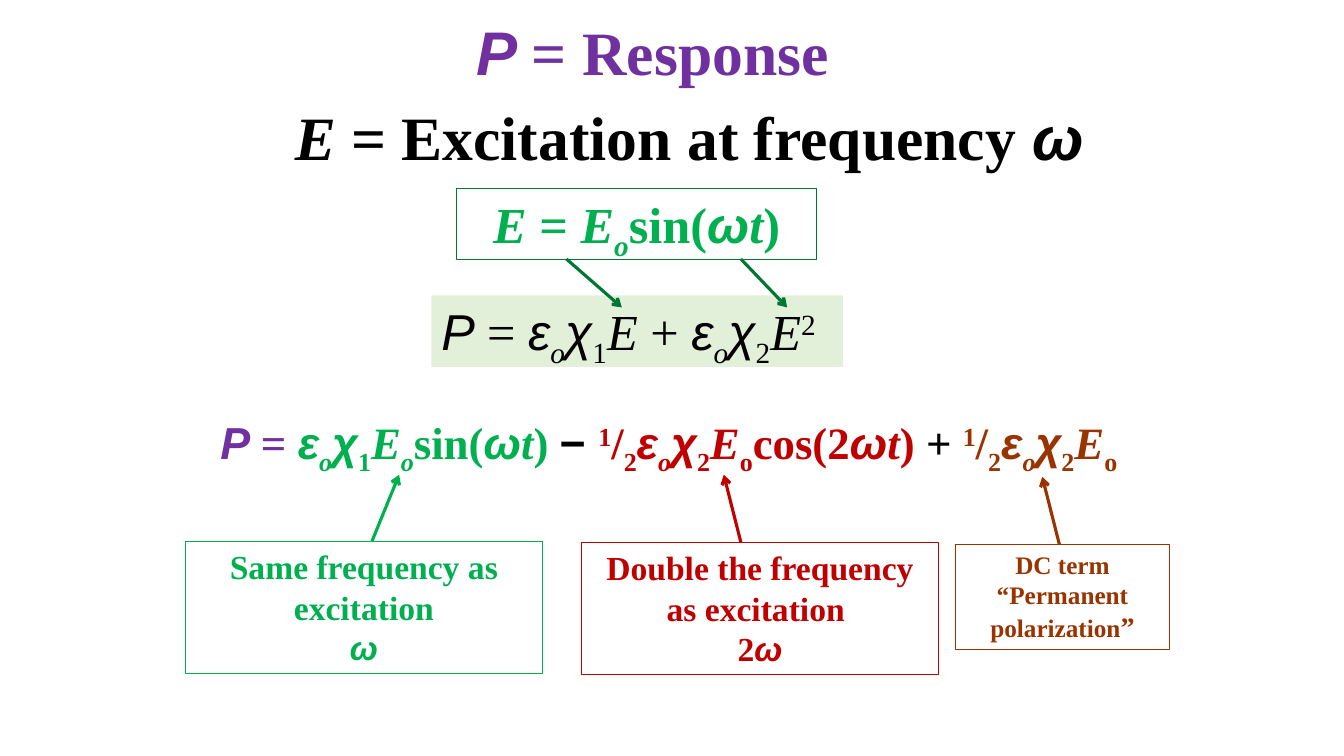
import pptx
import pptx.util
import pptx.dml.color
import pptx.enum.shapes
import pptx.enum.text
import pptx.oxml.ns
from dataclasses import dataclass
from lxml import etree

Pt = pptx.util.Pt
SHAPE = pptx.enum.shapes.MSO_SHAPE.RECTANGLE
ALIGN = pptx.enum.text.PP_ALIGN


@dataclass(frozen=True)
class Theme:
    serif: str = "Times New Roman"
    sans: str = "Arial"
    black: str = "000000"
    purple: str = "7030A0"
    green: str = "00B050"
    dark_green: str = "007635"
    pale_green: str = "E2F0D9"
    red: str = "C00000"
    brown: str = "993300"
    title: int = 44
    formula: int = 36
    result: int = 32
    label: int = 24
    quote: int = 20
    small: int = 18
    outline: float = 0.75
    arrow: float = 2.25


T = Theme()

# A run is (text, flags, optional size); flags: a sans, i italic, _ subscript, ^ superscript.
# A paragraph is a list of (colour, runs).
P, E, E_O = ("P ", "ai"), ("E", "i"), [("E", "i"), ("o", "i_")]
OMEGA, OMEGA_T = ("ω", "ai"), [("ω", "ai"), ("t", "i")]
HALF = [("1", "^"), ("/", ""), ("2", "_")]


def susceptibility(order):
    return [("ε", "ai"), ("o", "i_"), ("χ", "ai"), (order, "_")]


E_DC = [E, ("o", "_")]
RESULT = [
    (T.purple, [P, ("= ", "")]),
    (T.green, [*susceptibility("1"), *E_O, ("sin(", ""), *OMEGA_T, (") ", "")]),
    (T.black, [("− ", "a")]),
    (T.red, [*HALF, *susceptibility("2"), *E_DC, ("cos(2", ""), *OMEGA_T, (") ", "")]),
    (T.black, [("+ ", "")]),
    (T.brown, [*HALF, *susceptibility("2"), *E_DC]),
]
POLARIZATION = [P, ("= ", ""), *susceptibility("1"), E, (" + ", ""),
                *susceptibility("2"), E, ("2", "^")]

# (left, top, width, height), size, paragraphs
HEADINGS = [
    ((228.2, 6.5, 475.9, 60.5), T.title, [[(T.purple, [P, ("= Response", "")])]]),
    ((202.3, 67, 580.3, 60.5), T.title,
     [[(T.black, [E, (" = Excitation at frequency ", ""), OMEGA])]]),
    ((149, 293, 657.4, 46.1), T.result, [RESULT]),
]
# (left, top, width, height), size, outline, paragraphs
BOXES = [
    ((326.2, 134.6, 257, 51.1), T.formula, T.dark_green,
     [[(T.green, [E, (" = ", ""), *E_O, ("sin(", ""), *OMEGA_T, (")", "")])]]),
    ((132.5, 386.6, 254.9, 94.3), T.label, T.green,
     [[(T.green, [("Same frequency as excitation", "")])], [(T.green, [OMEGA])]]),
    ((415.4, 387.4, 254.9, 94.3), T.label, T.red,
     [[(T.red, [("Double the frequency as excitation ", "")])],
      [(T.red, [("2", ""), OMEGA])]]),
    ((682.6, 388.8, 152.6, 74.9), T.small, T.brown,
     [[(T.brown, [("DC term", "")])],
      [(T.brown, [("“Permanent polarization", ""), ("”", "", T.quote)])]]),
]
POLARIZATION_BOX = (308.2, 211, 293.8, 51.1)
# from x, from y, to x, to y, colour
ARROWS = [
    (404.6, 185, 444.2, 219.6, T.dark_green),
    (529.2, 185, 562.3, 219.6, T.dark_green),
    (265.7, 386.6, 285.1, 339.1, T.green),
    (529.2, 387.4, 517, 339.1, T.red),
    (756.7, 388.8, 744.5, 340.6, T.brown),
]


def rgb(colour):
    return pptx.dml.color.RGBColor.from_string(colour)


def add_run(p, text, flags, size=None):
    r = p.add_run()
    r.text = text
    r.font.name = T.sans if "a" in flags else T.serif
    if "i" in flags:
        r.font.italic = True
    if size:
        r.font.size = Pt(size)
    for flag, baseline in (("_", "-25000"), ("^", "30000")):
        if flag in flags:
            r.font._element.set("baseline", baseline)
    return r


def write(sp, size, paragraphs, bold=True, align=ALIGN.CENTER, wrap=True):
    tf = sp.text_frame
    tf.word_wrap = wrap
    tf.auto_size = pptx.enum.text.MSO_AUTO_SIZE.SHAPE_TO_FIT_TEXT
    tf.vertical_anchor = pptx.enum.text.MSO_ANCHOR.TOP
    for i, spans in enumerate(paragraphs):
        p = tf.add_paragraph() if i else tf.paragraphs[0]
        p.alignment = align
        p.font.size = Pt(size)
        p.font.bold = bold
        for colour, runs in spans:
            for run in runs:
                add_run(p, *run).font.color.rgb = rgb(colour)


def add_box(s, place, outline=None, fill=None):
    sp = s.shapes.add_shape(SHAPE, *map(Pt, place))
    sp.shadow.inherit = False
    if fill:
        sp.fill.solid()
        sp.fill.fore_color.rgb = rgb(fill)
    else:
        sp.fill.background()
    if outline:
        sp.line.color.rgb = rgb(outline)
        sp.line.width = Pt(T.outline)
    else:
        sp.line.fill.background()
    return sp


def add_arrow(s, x1, y1, x2, y2, colour):
    line = s.shapes.add_connector(
        pptx.enum.shapes.MSO_CONNECTOR.STRAIGHT, *map(Pt, (x1, y1, x2, y2)))
    line.line.color.rgb = rgb(colour)
    line.line.width = Pt(T.arrow)
    qn = pptx.oxml.ns.qn
    etree.SubElement(line.line._get_or_add_ln(), qn("a:tailEnd"), type="arrow")
    etree.SubElement(line._element.spPr, qn("a:effectLst"))


def main():
    prs = pptx.Presentation()
    prs.slide_width, prs.slide_height = Pt(960), Pt(540)
    s = prs.slides.add_slide(prs.slide_layouts[6])
    for place, size, paragraphs in HEADINGS:
        write(s.shapes.add_textbox(*map(Pt, place)), size, paragraphs)
    for place, size, outline, paragraphs in BOXES:
        write(add_box(s, place, outline=outline), size, paragraphs)
    write(add_box(s, POLARIZATION_BOX, fill=T.pale_green), T.formula,
          [[(T.black, POLARIZATION)]], bold=False, align=ALIGN.LEFT, wrap=False)
    for arrow in ARROWS:
        add_arrow(s, *arrow)
    prs.save("out.pptx")


if __name__ == "__main__":
    main()
